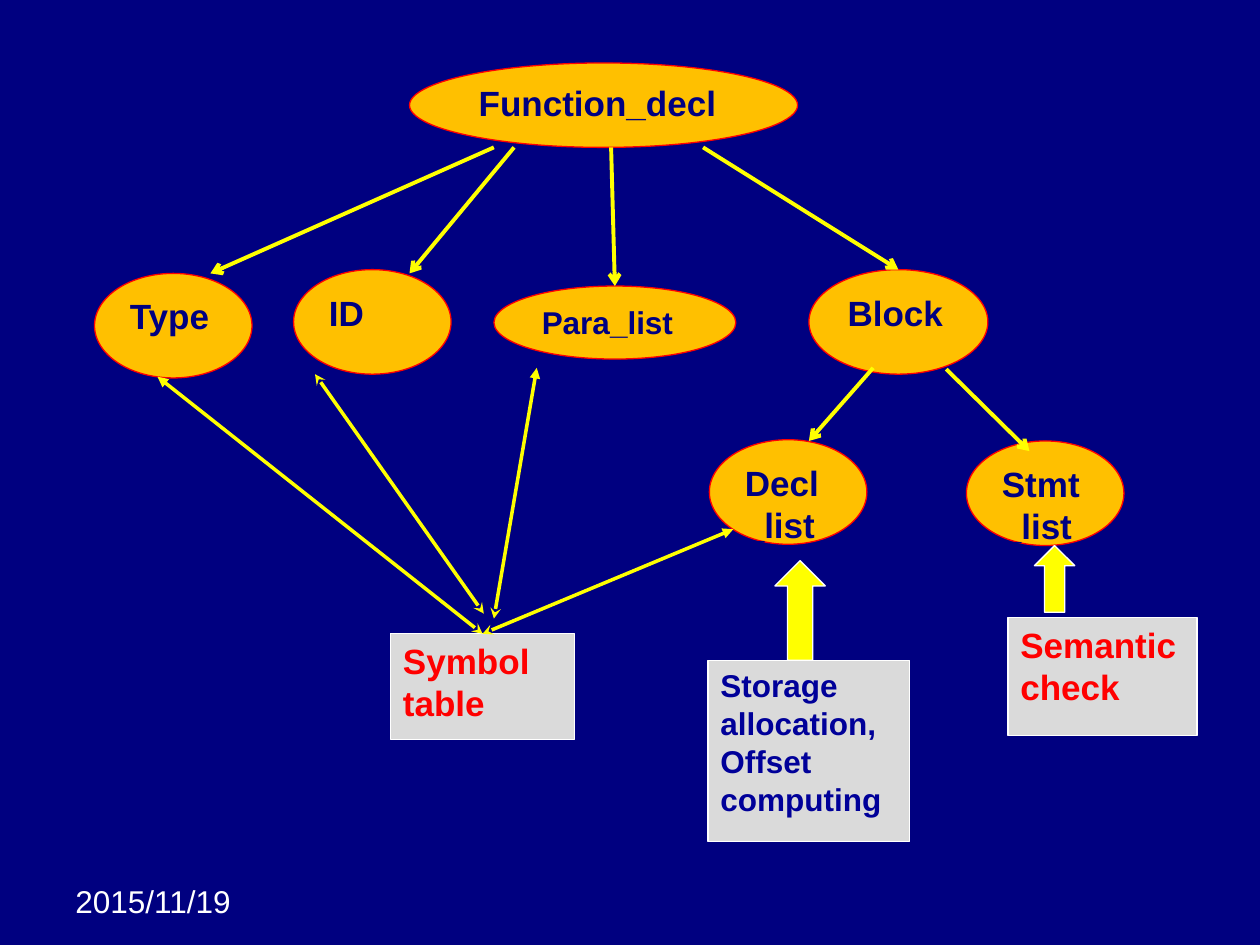
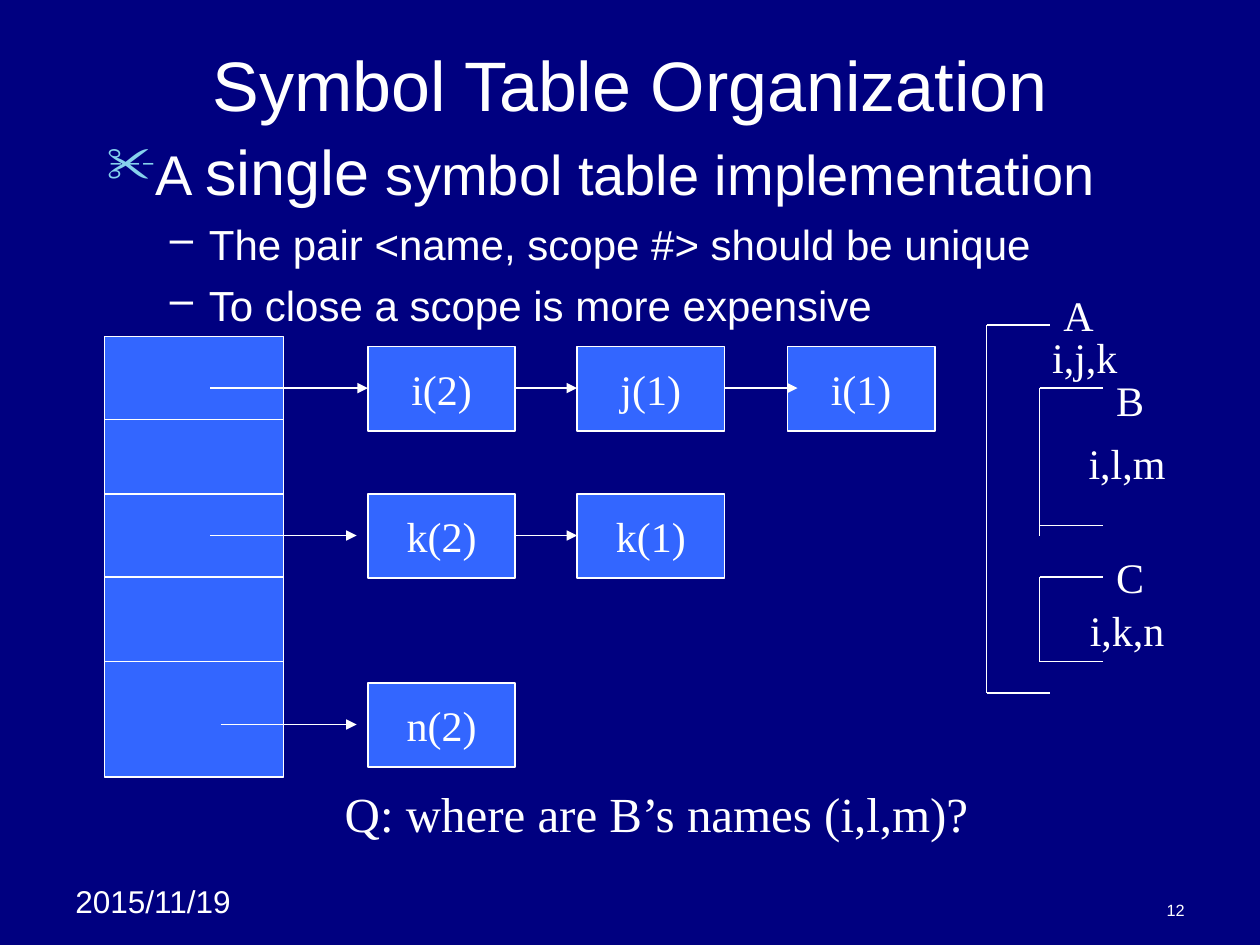
from lxml.etree import SubElement
from pptx import Presentation
from pptx.dml.color import RGBColor
from pptx.enum.shapes import MSO_CONNECTOR, MSO_SHAPE
from pptx.enum.text import MSO_ANCHOR, PP_ALIGN
from pptx.oxml.ns import qn
from pptx.util import Inches, Pt

NAVY, WHITE, YELLOW, RED = "000080", "FFFFFF", "FFFF00", "FF0000"
AMBER, GREY, INK, BLUE, SKY = "FFC000", "DADADA", "000099", "3366FF", "86D1EC"
SANS, SERIF = "Arial", "Times New Roman"


def rgb(color):
    return RGBColor.from_string(color)


def add_run(p, text, size, color=WHITE, font=SANS, bold=False):
    r = p.add_run()
    r.text = text
    r.font.size = Pt(size)
    r.font.name = font
    r.font.bold = bold
    r.font.color.rgb = rgb(color)


def write(sp, lines, size, color=WHITE, font=SANS, bold=False,
          align=PP_ALIGN.LEFT, anchor=MSO_ANCHOR.TOP, wrap=True):
    tf = sp.text_frame
    tf.word_wrap = wrap
    tf.vertical_anchor = anchor
    for i, line in enumerate(lines):
        p = tf.add_paragraph() if i else tf.paragraphs[0]
        p.alignment = align
        add_run(p, line, size, color, font, bold)


def add_text(s, box, text, size, **style):
    sp = s.shapes.add_textbox(*map(Inches, box))
    write(sp, [text], size, **style)


def add_box(s, kind, box, fill, line, width):
    sp = s.shapes.add_shape(kind, *map(Inches, box))
    sp.shadow.inherit = False
    sp.fill.solid()
    sp.fill.fore_color.rgb = rgb(fill)
    sp.line.color.rgb = rgb(line)
    sp.line.width = Pt(width)
    return sp


def add_line(s, start, end, color=WHITE, width=1, head=None, tail=None):
    sp = s.shapes.add_connector(MSO_CONNECTOR.STRAIGHT, *map(Inches, start + end))
    sp.line.color.rgb = rgb(color)
    sp.line.width = Pt(width)
    ln = sp.line._get_or_add_ln()
    for tag, arrow in (("a:headEnd", head), ("a:tailEnd", tail)):
        if arrow:
            SubElement(ln, qn(tag), type=arrow)
    SubElement(sp._element.spPr, qn("a:effectLst"))


def add_tree_node(s, box, label, size=20):
    sp = add_box(s, MSO_SHAPE.OVAL, box, AMBER, RED, 0.75)
    write(sp, [label], size, NAVY, bold=True)


def add_note(s, box, lines, size=20, color=RED):
    sp = add_box(s, MSO_SHAPE.RECTANGLE, box, GREY, WHITE, 0.75)
    write(sp, lines, size, color, bold=True)


def add_entry(s, left, top, label):
    sp = add_box(s, MSO_SHAPE.RECTANGLE, (left, top, 1.17, 0.67), BLUE, WHITE, 1)
    write(sp, [label], 24, font=SERIF, align=PP_ALIGN.CENTER,
          anchor=MSO_ANCHOR.MIDDLE, wrap=False)


def add_scope_bracket(s, left, top, bottom, spine_end):
    add_line(s, (left, top), (left, spine_end))
    for y in (top, bottom):
        add_line(s, (left, y), (left + 0.5, y))


def add_bullet(p, char, color, margin, hanging, scale=100):
    pPr = p._p.get_or_add_pPr()
    pPr.set("marL", str(Inches(margin)))
    pPr.set("indent", str(-Inches(hanging)))
    SubElement(SubElement(pPr, qn("a:buClr")), qn("a:srgbClr"), val=color)
    SubElement(pPr, qn("a:buSzPct"), val=str(scale * 1000))
    SubElement(pPr, qn("a:buChar"), char=char)


def add_outline(s, box, heading, points):
    tf = s.shapes.add_textbox(*map(Inches, box)).text_frame
    tf.word_wrap = True
    p = tf.paragraphs[0]
    add_bullet(p, "✂", SKY, 0.38, 0.38, 90)
    for text, size in heading:
        add_run(p, text, size)
    for point in points:
        p = tf.add_paragraph()
        p.level = 1
        p.space_before = Pt(6)
        add_bullet(p, "–", WHITE, 0.81, 0.31)
        add_run(p, point, 24)


def new_slide(prs):
    s = prs.slides.add_slide(prs.slide_layouts[6])
    s.background.fill.solid()
    s.background.fill.fore_color.rgb = rgb(NAVY)
    add_text(s, (0.5, 6.95, 1.58, 0.4), "2015/11/19", 18)
    return s


def build_syntax_tree(prs):
    s = new_slide(prs)
    for box, label, size in (
        ((3.25, 0.5, 3.08, 0.67), "Function_decl", 20),
        ((0.75, 2.17, 1.25, 0.83), "Type", 20),
        ((2.33, 2.14, 1.25, 0.83), "ID", 20),
        ((3.92, 2.27, 1.92, 0.58), "Para_list", 18),
        ((6.42, 2.14, 1.42, 0.83), "Block", 20),
        ((5.63, 3.49, 1.25, 0.83), "Decl_list", 20),
        ((7.67, 3.5, 1.25, 0.83), "Stmt_list", 20),
    ):
        add_tree_node(s, box, label, size)
    for parent, child in (
        ((3.92, 1.17), (1.67, 2.17)),
        ((4.08, 1.17), (3.25, 2.17)),
        ((4.85, 1.17), (4.88, 2.27)),
        ((5.58, 1.17), (7.13, 2.14)),
        ((6.93, 2.92), (6.42, 3.5)),
        ((7.51, 2.93), (8.17, 3.58)),
    ):
        add_line(s, parent, child, YELLOW, 2.25, tail="arrow")

    add_note(s, (3.1, 5.03, 1.46, 0.84), ["Symbol", "table"])
    for box in ((6.15, 4.45, 0.4, 0.79), (8.21, 4.33, 0.32, 0.53)):
        add_box(s, MSO_SHAPE.UP_ARROW, box, YELLOW, WHITE, 0.75)
    add_note(s, (5.62, 5.24, 1.6, 1.44),
             ["Storage", "allocation,", "Offset", "computing"], 18, INK)
    add_note(s, (8, 4.9, 1.5, 0.94), ["Semantic check"])

    for table_end, node_end, tail in (
        ((3.84, 4.87), (2.5, 2.97), "stealth"),
        ((3.83, 5.03), (1.25, 2.99), "triangle"),
        ((3.92, 4.91), (4.26, 2.92), "triangle"),
        ((3.83, 5.03), (5.82, 4.2), "triangle"),
    ):
        add_line(s, table_end, node_end, YELLOW, 2, "stealth", tail)


def build_table_organization(prs):
    s = new_slide(prs)
    add_text(s, (7.17, 7.08, 2.33, 0.27), "12", 9.3,
             align=PP_ALIGN.RIGHT, anchor=MSO_ANCHOR.BOTTOM)
    add_text(s, (0.75, 0.25, 8.5, 0.83), "Symbol Table Organization", 40,
             align=PP_ALIGN.CENTER, anchor=MSO_ANCHOR.MIDDLE)

    for bracket in ((7.83, 2.58, 5.5, 5.5), (8.25, 3.08, 4.17, 4.25),
                    (8.25, 4.58, 5.25, 5.25)):
        add_scope_bracket(s, *bracket)
    for left, top, width, label in (
        (8.34, 2.25, 0.44, "A"), (8.25, 2.58, 0.72, "i,j,k"),
        (8.76, 2.92, 0.42, "B"), (8.54, 3.42, 0.81, "i,l,m"),
        (8.76, 4.33, 0.42, "C"), (8.55, 4.75, 0.79, "i,k,n"),
    ):
        add_text(s, (left, top, width, 0.5), label, 24, font=SERIF,
                 align=PP_ALIGN.CENTER, wrap=False)

    add_box(s, MSO_SHAPE.RECTANGLE, (0.83, 2.67, 1.42, 3.5), BLUE, WHITE, 1)
    for y in (3.33, 3.92, 4.58, 5.25):
        add_line(s, (0.83, y), (2.25, y))
    columns = (2.92, 4.58, 6.25)
    for top, labels, links in (
        (2.75, ("i(2)", "j(1)", "i(1)"), ((1.67, 2.92), (4.08, 4.58), (5.75, 6.33))),
        (3.92, ("k(2)", "k(1)"), ((1.67, 2.83), (4.08, 4.58))),
        (5.42, ("n(2)",), ((1.75, 2.83),)),
    ):
        for left, label in zip(columns, labels):
            add_entry(s, left, top, label)
        y = top + 0.33
        for start, end in links:
            add_line(s, (start, y), (end, y), tail="triangle")

    add_text(s, (2.42, 6.17, 5.58, 0.57), "Q: where are B’s names (i,l,m)?", 28,
             font=SERIF, align=PP_ALIGN.CENTER)
    add_outline(s, (0.75, 1, 8.5, 1.7),
                (("A ", 32), ("single", 36), (" symbol table implementation", 32)),
                ("The pair <name, scope #> should be unique",
                 "To close a scope is more expensive"))


def main():
    prs = Presentation()
    prs.slide_width = Inches(10)
    prs.slide_height = Inches(7.5)
    build_syntax_tree(prs)
    build_table_organization(prs)
    prs.save("out.pptx")


if __name__ == "__main__":
    main()
